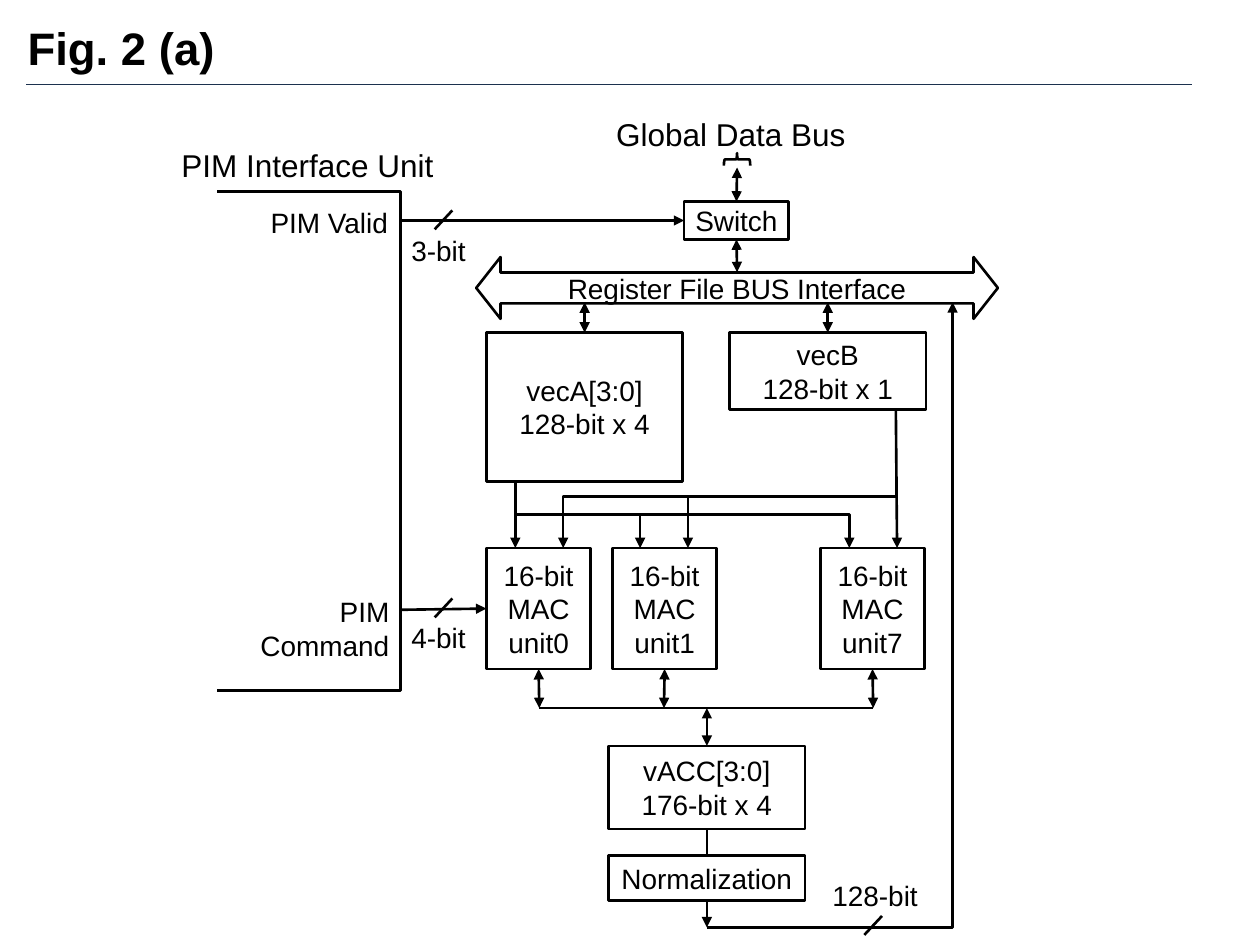
from lxml.etree import SubElement
from pptx import Presentation
from pptx.dml.color import RGBColor
from pptx.enum.shapes import MSO_CONNECTOR, MSO_SHAPE
from pptx.enum.text import MSO_ANCHOR, PP_ALIGN
from pptx.oxml.ns import qn
from pptx.util import Inches, Pt

TOP, LEFT, BOTTOM = 0, 1, 2  # connection sites of a rectangle

prs = Presentation()
prs.slide_width, prs.slide_height = Inches(10), Inches(7.5)
s = prs.slides.add_slide(prs.slide_layouts[6])


def add_text(text, at, shape=None, fill=None, line="000000", weight=1.5, size=16,
             bold=False, align=PP_ALIGN.CENTER, anchor=MSO_ANCHOR.MIDDLE, inset=(0, 0)):
    """Add a text box, or an outlined preset shape when one is given."""
    box = [Inches(v) for v in at]
    if shape is None:
        sp = s.shapes.add_textbox(*box)
    else:
        sp = s.shapes.add_shape(shape, *box)
        sp.shadow.inherit = False
        sp.line.color.rgb = RGBColor.from_string(line)
        sp.line.width = Pt(weight)
        if fill:
            sp.fill.solid()
            sp.fill.fore_color.rgb = RGBColor.from_string(fill)
        else:
            sp.fill.background()
    tf = sp.text_frame
    tf.word_wrap = True
    tf.vertical_anchor = anchor
    tf.margin_left, tf.margin_top = Inches(inset[0]), Inches(inset[1])
    tf.margin_right = tf.margin_bottom = 0
    if text:
        tf.text = text
        for p in tf.paragraphs:
            p.alignment = align
            for r in p.runs:
                r.font.name, r.font.size, r.font.bold = "Arial", Pt(size), bold
                r.font.color.rgb = RGBColor.from_string("000000")
    return sp


def add_line(start, end, arrows="", kind=MSO_CONNECTOR.STRAIGHT, color="000000",
             weight=1.5, join_start=None, join_end=None):
    """Arrows is any of 'head' (at start) and 'tail' (at end); joins are (shape, site)."""
    c = s.shapes.add_connector(kind, *[Inches(v) for v in (*start, *end)])
    c.line.color.rgb = RGBColor.from_string(color)
    c.line.width = Pt(weight)
    if join_start:
        c.begin_connect(*join_start)
    if join_end:
        c.end_connect(*join_end)
    ln = c.line._get_or_add_ln()
    for name in ("head", "tail"):
        if name in arrows:
            SubElement(ln, qn(f"a:{name}End"), type="triangle")
    SubElement(c._element.spPr, qn("a:effectLst"))
    return c


# Title and backdrop
add_line((0.21, 0.67), (9.46, 0.67), color="1C314E", weight=1)
add_text("Fig. 2 (a)", (0.12, 0.07, 9.19, 0.8), size=26, bold=True,
         align=PP_ALIGN.LEFT, anchor=MSO_ANCHOR.TOP, inset=(0.1, 0.09))
rect = MSO_SHAPE.RECTANGLE
add_text("", (1.34, 0.81, 6.75, 6.69), rect, fill="FFFFFF", line="FFFFFF", weight=1)

# Interface unit, open on its left side
add_text("", (1.62, 1.52, 1.56, 3.96), rect)
add_text("", (1.48, 1.46, 0.24, 4.06), rect, fill="FFFFFF", line="FFFFFF", weight=1)
add_text("PIM Interface Unit", (1.44, 1.16, 2.03, 0.3), size=18,
         align=PP_ALIGN.LEFT, anchor=MSO_ANCHOR.TOP)
for text, at in (("PIM Valid", (1.81, 1.63, 1.27, 0.27)),
                 ("PIM Command", (1.73, 4.72, 1.36, 0.54))):
    add_text(text, at, align=PP_ALIGN.RIGHT, anchor=MSO_ANCHOR.TOP)

# Blocks
bus = add_text("Register File BUS Interface", (3.78, 2.04, 4.14, 0.49),
               MSO_SHAPE.LEFT_RIGHT_ARROW)
bus.adjustments[0], bus.adjustments[1] = 0.5, 0.394
switch = add_text("Switch", (5.43, 1.6, 0.83, 0.3), rect)
vec_a = add_text("vecA[3:0]\n128-bit x 4", (3.86, 2.64, 1.56, 1.18), rect)
vec_b = add_text("vecB\n128-bit x 1", (5.79, 2.64, 1.56, 0.61), rect)
macs = [add_text(f"16-bit\vMAC\vunit{n}", (x, 4.35, 0.83, 0.96), rect)
        for n, x in ((0, 3.86), (1, 4.86), (7, 6.51))]
vacc = add_text("vACC[3:0]\n176-bit x 4", (4.83, 5.92, 1.56, 0.66), rect)
norm = add_text("Normalization", (4.83, 6.79, 1.56, 0.36), rect)

# Global data bus
add_text("Global Data Bus", (4.86, 0.92, 1.88, 0.28), size=18)
brace = add_text("", (5.8, 1.16, 0.1, 0.21), MSO_SHAPE.RIGHT_BRACE)
brace.rotation = 270

# Bit widths with their slashes
for text, at, slash in (("3-bit", (3.18, 1.85, 0.6, 0.27), (3.45, 1.82)),
                        ("4-bit", (3.18, 4.92, 0.6, 0.27), (3.45, 4.9)),
                        ("128-bit", (6.57, 6.97, 0.75, 0.27), (6.86, 7.42))):
    add_text(text, at)
    add_line((slash[0] + 0.14, slash[1] - 0.15), slash)

# Control signals
add_line((3.17, 1.75), (5.43, 1.75), "tail", join_end=(switch, LEFT))
add_line((3.17, 4.84), (3.86, 4.83), "tail", join_end=(macs[0], LEFT))

# Two-way data arrows
for block, site, start, end in ((switch, TOP, (5.85, 1.6), (5.85, 1.33)),
                                (switch, BOTTOM, (5.85, 1.9), (5.85, 2.16)),
                                (vec_a, TOP, (4.64, 2.64), (4.64, 2.4)),
                                (vec_b, TOP, (6.57, 2.64), (6.57, 2.4)),
                                (macs[0], BOTTOM, (4.28, 5.31), (4.28, 5.62)),
                                (macs[1], BOTTOM, (5.27, 5.31), (5.27, 5.62)),
                                (macs[2], BOTTOM, (6.93, 5.31), (6.93, 5.62)),
                                (vacc, TOP, (5.61, 5.92), (5.61, 5.62))):
    add_line(start, end, "head tail", join_start=(block, site))
add_line((4.28, 5.62), (6.93, 5.62))

# Vector inputs of the MAC units
add_line((4.09, 3.82), (4.09, 4.35), "tail")
add_line((7.11, 3.25), (7.12, 4.35), "tail")
for (x1, y1), x2, bend in (((4.09, 3.82), 5.08, 50000), ((4.09, 3.82), 6.74, 50000),
                           ((7.11, 3.25), 4.47, 62800), ((7.11, 3.25), 5.46, 62800)):
    y2 = 4.35
    cx, cy = (x1 + x2) / 2, (y1 + y2) / 2
    half_w, half_h = (y2 - y1) / 2, abs(x2 - x1) / 2  # box before the quarter turn
    c = add_line((cx - half_w, cy - half_h), (cx + half_w, cy + half_h), "tail",
                 MSO_CONNECTOR.ELBOW)
    xfrm = c._element.spPr.find(qn("a:xfrm"))
    xfrm.set("rot", str((270 if x2 > x1 else 90) * 60000))
    if x2 > x1:
        xfrm.set("flipH", "1")
    geom = c._element.spPr.find(qn("a:prstGeom"))
    SubElement(geom.find(qn("a:avLst")), qn("a:gd"), name="adj1", fmla=f"val {bend}")

# Result path back to the bus
add_line((5.61, 6.58), (5.61, 6.79), join_start=(vacc, BOTTOM), join_end=(norm, TOP))
add_line((5.61, 7.15), (5.61, 7.36), "tail", join_start=(norm, BOTTOM))
c = add_line((5.61, 7.36), (7.56, 2.4), "tail", MSO_CONNECTOR.ELBOW)
c._element.spPr.find(qn("a:prstGeom")).set("prst", "bentConnector2")

prs.save("out.pptx")
